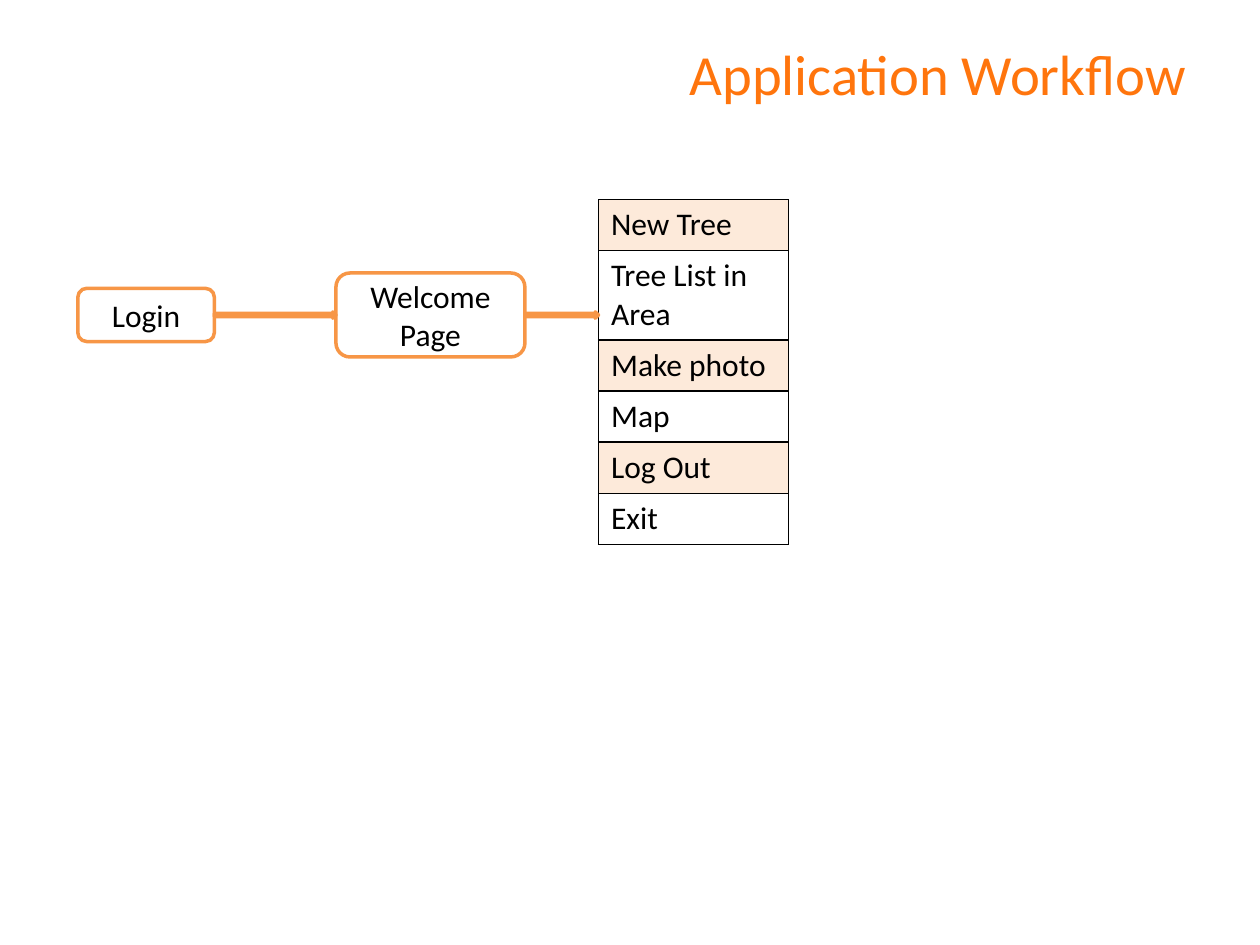
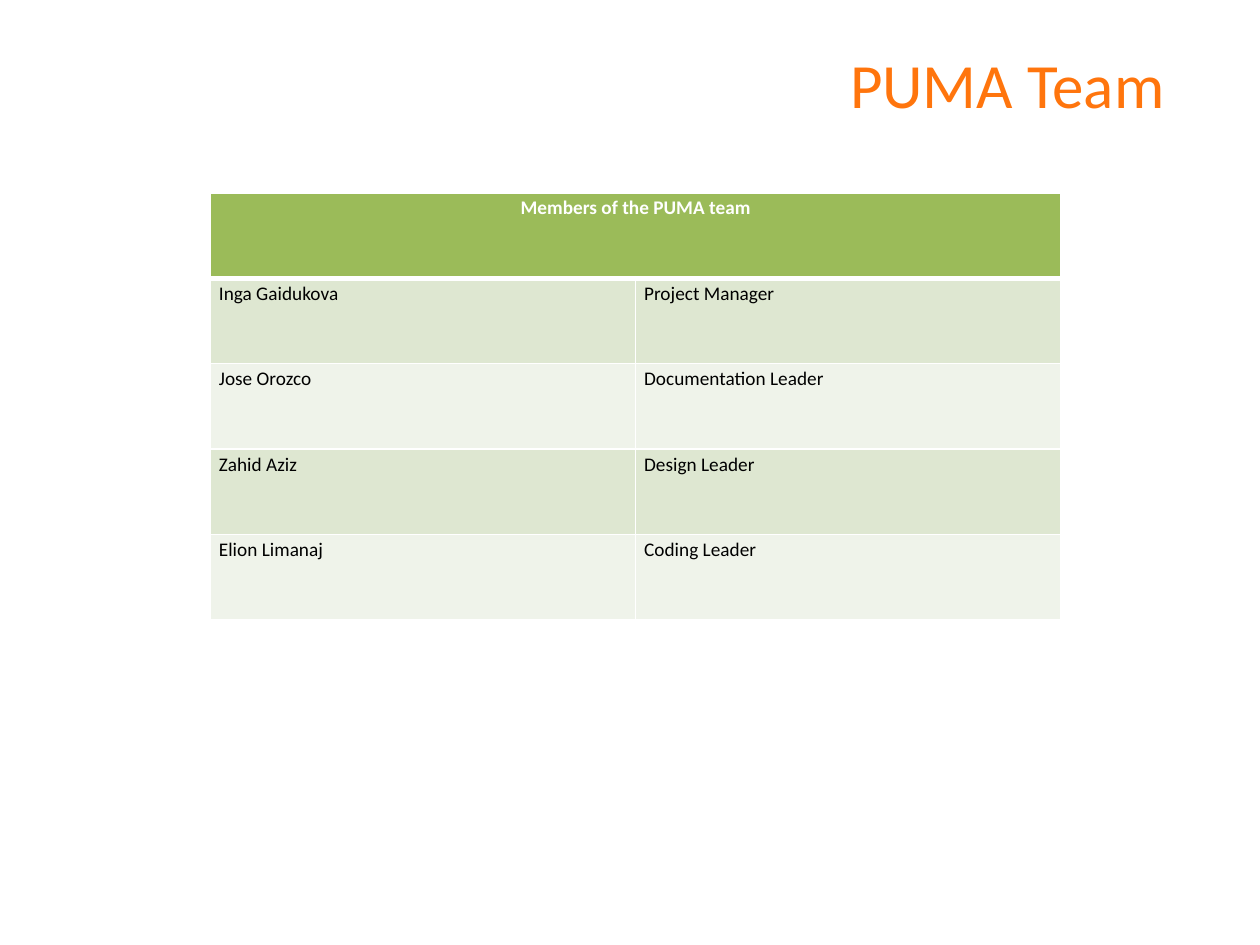
import pptx
import pptx.util
import pptx.dml.color
import pptx.enum.shapes
import pptx.enum.text
import pptx.oxml

Pt = pptx.util.Pt
SHAPES = pptx.enum.shapes.MSO_SHAPE
ALIGN = pptx.enum.text.PP_ALIGN
MIDDLE = pptx.enum.text.MSO_ANCHOR.MIDDLE

FONT = "Calibri"
COLORS = {
    "title": "FF750D", "accent": "F79646", "menu_band": "FDEADA",
    "black": "000000", "white": "FFFFFF",
    "header": "9BBB59", "band_dark": "DEE7D1", "band_light": "EFF3EA",
}
MENU = ["New Tree", "Tree List in Area", "Make photo", "Map", "Log Out", "Exit"]
TEAM = [
    ("Inga Gaidukova", "Project Manager"),
    ("Jose Orozco", "Documentation Leader"),
    ("Zahid Aziz", "Design Leader"),
    ("Elion Limanaj", "Coding Leader"),
]


def rgb(name):
    return pptx.dml.color.RGBColor.from_string(COLORS[name])


def write(frame, text, size=18, color="black", bold=False, align=ALIGN.LEFT,
          spacing=None, after=None):
    frame.word_wrap = True
    para = frame.paragraphs[0]
    para.alignment = align
    if spacing is not None:
        para.line_spacing = spacing
    if after is not None:
        para.space_after = Pt(after)
    span = para.add_run()
    span.text = text
    span.font.name = FONT
    span.font.size = Pt(size)
    span.font.bold = bold
    span.font.color.rgb = rgb(color)


def add_title(page, text, left, top, width, height, size):
    box = page.shapes.add_textbox(Pt(left), Pt(top), Pt(width), Pt(height))
    box.text_frame.vertical_anchor = MIDDLE
    write(box.text_frame, text, size=size, color="title", align=ALIGN.RIGHT)


def add_outlined(page, kind, left, top, width, height):
    shape = page.shapes.add_shape(kind, Pt(left), Pt(top), Pt(width), Pt(height))
    shape.shadow.inherit = False
    shape.fill.solid()
    shape.fill.fore_color.rgb = rgb("white")
    shape.line.color.rgb = rgb("accent")
    shape.line.width = Pt(2)
    return shape


def add_grid(page, left, top, widths, heights):
    frame = page.shapes.add_table(len(heights), len(widths), Pt(left), Pt(top),
                                  Pt(sum(widths)), Pt(sum(heights)))
    grid = frame.table
    grid.first_row = grid.horz_banding = False
    for column, width in zip(grid.columns, widths):
        column.width = Pt(width)
    for row, height in zip(grid.rows, heights):
        row.height = Pt(height)
    return grid


def style_cell(cell, fill, border, **line_widths):
    """Give a cell its four borders (keys L, R, T, B; 1 pt by default) and fill."""
    properties = cell._tc.get_or_add_tcPr()
    for side in "LRTB":
        width = int(Pt(line_widths.get(side, 1)))
        properties.append(pptx.oxml.parse_xml(
            '<a:ln%s xmlns:a="http://schemas.openxmlformats.org/drawingml/2006/main"'
            ' w="%d"><a:solidFill><a:srgbClr val="%s"/></a:solidFill></a:ln%s>'
            % (side, width, COLORS[border], side)))
    if fill:
        cell.fill.solid()
        cell.fill.fore_color.rgb = rgb(fill)
    else:
        cell.fill.background()


def add_menu(page, left, top, width):
    line_height, two_lines = 29.2, 51.1
    heights = [two_lines if item == "Tree List in Area" else line_height
               for item in MENU]
    grid = add_grid(page, left, top, [width], heights)
    for index, item in enumerate(MENU):
        cell = grid.cell(index, 0)
        thin = {0: dict.fromkeys("LRTB", 0.5), 1: {"T": 0.5}}.get(index, {})
        style_cell(cell, None if index % 2 else "menu_band", "black", **thin)
        write(cell.text_frame, item)


def add_flow(page, left, middle, menu_left):
    """Place the steps on one middle line, with an arrow after each."""
    steps = [("Login", left, 78, 30.4), ("Welcome Page", 192, 108, 48)]
    for text, start, width, height in steps:
        box = add_outlined(page, SHAPES.ROUNDED_RECTANGLE,
                           start, middle - height / 2, width, height)
        box.text_frame.vertical_anchor = MIDDLE
        write(box.text_frame, text, align=ALIGN.CENTER)
    targets = [steps[1][1], menu_left]
    for (text, start, width, height), target in zip(steps, targets):
        end = start + width
        add_outlined(page, SHAPES.RIGHT_ARROW, end, middle - 1.8, target - end, 3.6)


def add_team(page, left, top, width, height):
    count = len(TEAM) + 1
    grid = add_grid(page, left, top, [width / 2] * 2, [height / count] * count)
    rows = [("Members of the PUMA team", "")] + TEAM
    for index, row in enumerate(rows):
        fill = "header" if index == 0 else "band_dark" if index % 2 else "band_light"
        lines = {0: {"B": 3}, 1: {"T": 3}}.get(index, {})
        for column, text in enumerate(row):
            cell = grid.cell(index, column)
            cell.margin_left = cell.margin_right = Pt(4.8)
            cell.margin_top = cell.margin_bottom = Pt(0)
            style_cell(cell, fill, "white", **lines)
            if text:
                write(cell.text_frame, text, size=11, spacing=1.15, after=10,
                      bold=index == 0, color="black" if index else "white",
                      align=ALIGN.LEFT if index else ALIGN.CENTER)
    grid.cell(0, 0).merge(grid.cell(0, 1))


def build_workflow(page):
    menu_left = 342
    add_title(page, "Application Workflow", 35.3, 17.3, 649.4, 48.2, 32.4)
    add_menu(page, menu_left, 114, 108.6)
    add_flow(page, 44.5, 180, menu_left)


def build_team(page):
    add_title(page, "PUMA Team", 47.5, 17.3, 625, 60.5, 36)
    add_team(page, 120.3, 110.2, 486, 244)


def main():
    deck = pptx.Presentation()
    deck.slide_width, deck.slide_height = Pt(720), Pt(540)
    for build in (build_workflow, build_team):
        build(deck.slides.add_slide(deck.slide_layouts[6]))
    deck.save("out.pptx")


if __name__ == "__main__":
    main()
